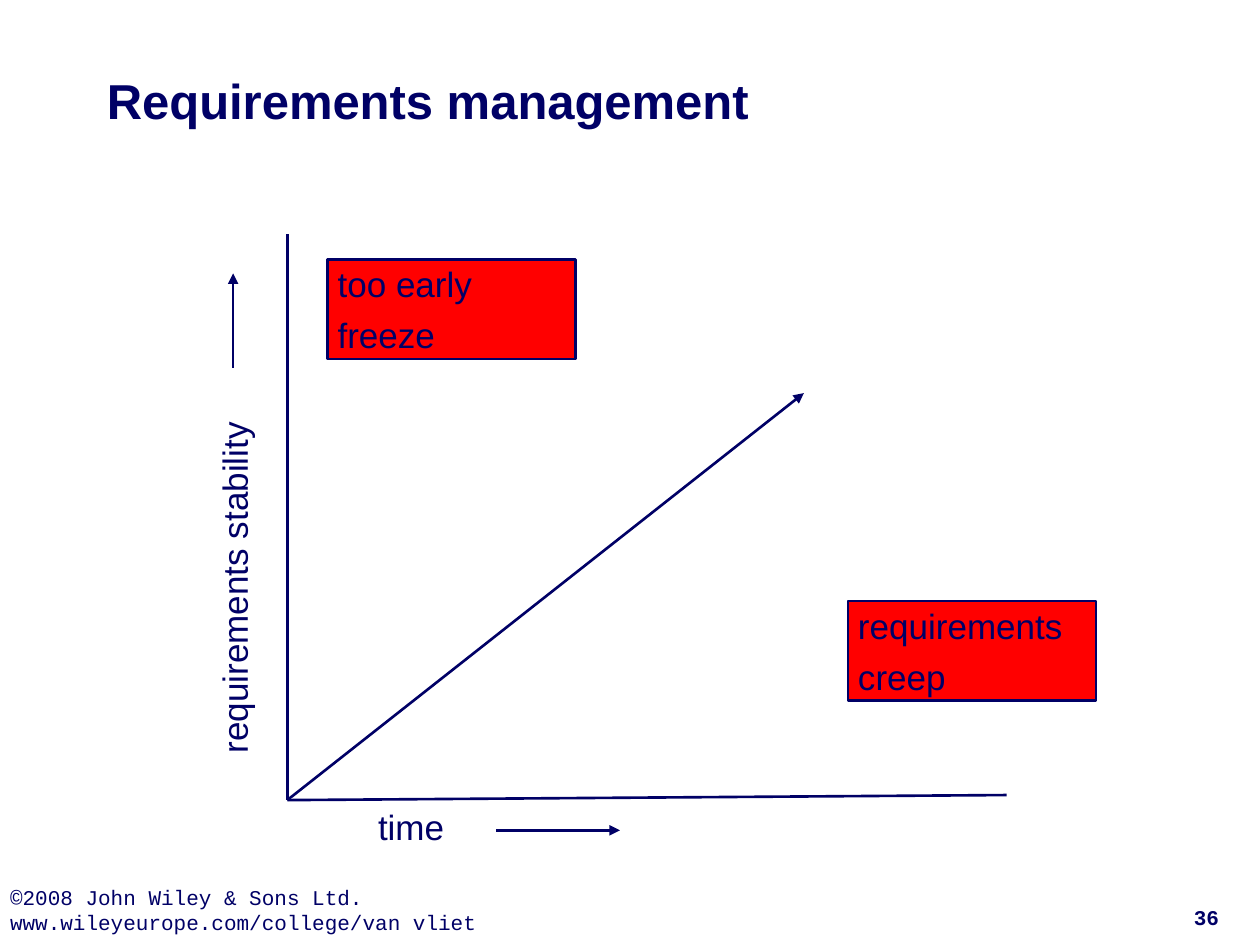
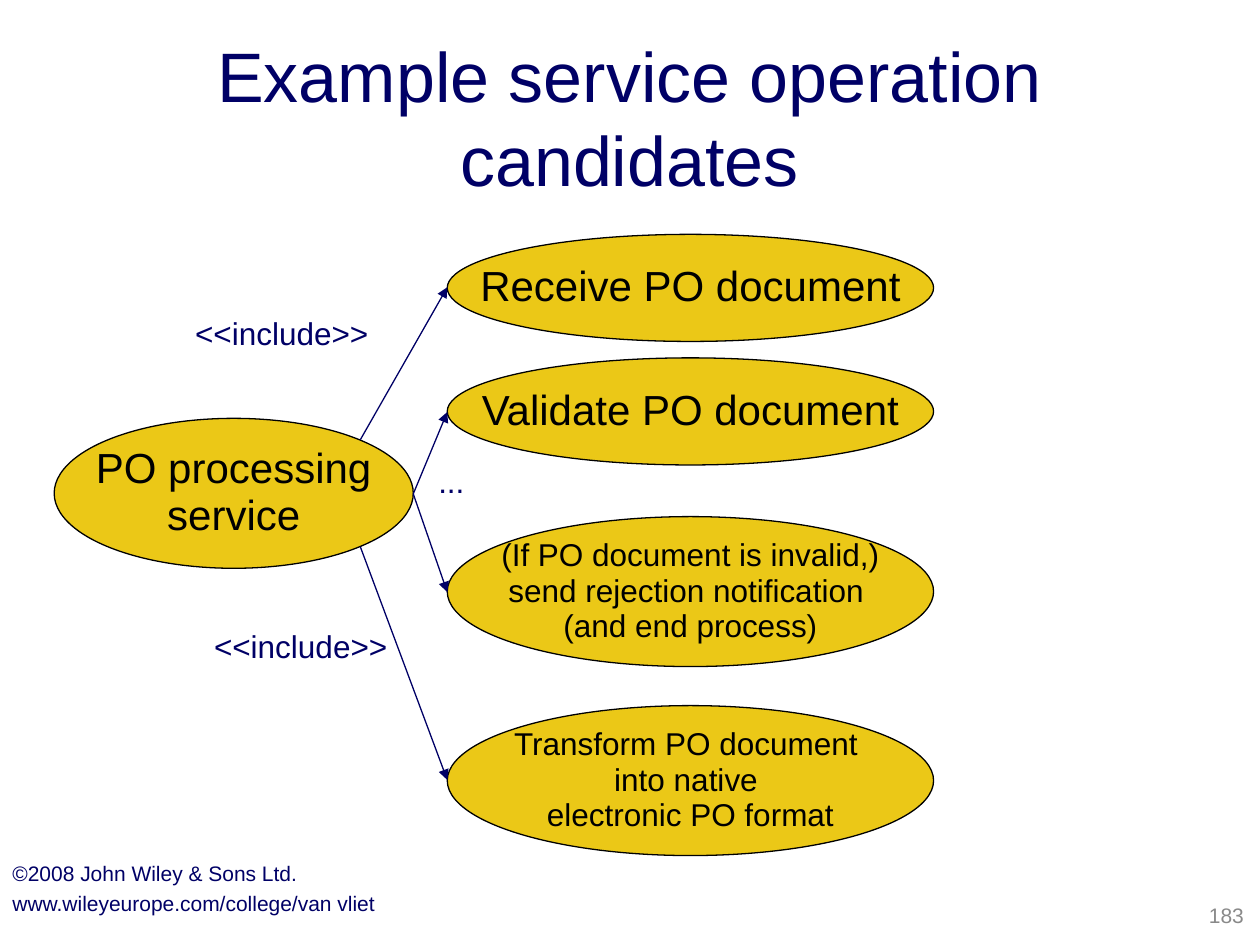
import pptx
import pptx.util
import pptx.dml.color
import pptx.enum.shapes
import pptx.enum.text
from lxml import etree

Inches = pptx.util.Inches
Pt = pptx.util.Pt
ANCHOR = pptx.enum.text.MSO_ANCHOR
ALIGN = pptx.enum.text.PP_ALIGN
SHAPE = pptx.enum.shapes.MSO_SHAPE
NAMESPACE = "{http://schemas.openxmlformats.org/drawingml/2006/main}"

NAVY = "000066"
BLACK = "000000"
RED = "FF0000"
GOLD = "EBC817"
GREY = "898989"
FOOTER = ["©2008 John Wiley & Sons Ltd.", "www.wileyeurope.com/college/van vliet"]
NUMBER_BOX = (9.18, 7.14, 0.79, 0.24)


def color(value):
    return pptx.dml.color.RGBColor.from_string(value)


def add_text(slide, box, lines, size, ink=NAVY, font="Arial", bold=False, align=ALIGN.LEFT,
             anchor=ANCHOR.TOP, insets=(0.1, 0.05), wrap=True, before=0, spacing=None,
             geometry=None, fill=None, outline=None, weight=1):
    bounds = [Inches(length) for length in box]
    if geometry is None:
        shape = slide.shapes.add_textbox(*bounds)
    else:
        shape = slide.shapes.add_shape(geometry, *bounds)
        shape.shadow.inherit = False
        shape.fill.solid()
        shape.fill.fore_color.rgb = color(fill)
        shape.line.color.rgb = color(outline)
        shape.line.width = Pt(weight)
    frame = shape.text_frame
    frame.word_wrap = wrap
    frame.vertical_anchor = anchor
    frame.margin_left = frame.margin_right = Inches(insets[0])
    frame.margin_top = frame.margin_bottom = Inches(insets[1])
    for index, line in enumerate(lines):
        paragraph = frame.add_paragraph() if index else frame.paragraphs[0]
        paragraph.alignment = align
        if index and before:
            paragraph.space_before = Pt(before)
        if spacing:
            paragraph.line_spacing = spacing
        run = paragraph.add_run()
        run.text = line
        run.font.name = font
        run.font.size = Pt(size)
        run.font.bold = bold
        run.font.color.rgb = color(ink)
    return shape


presentation = pptx.Presentation()
presentation.slide_width = Inches(10)
presentation.slide_height = Inches(7.5)
blank = presentation.slide_layouts[6]

management = presentation.slides.add_slide(blank)
add_text(management, (0, 6.94, 6.14, 0.56), FOOTER, 12, font="Courier New", insets=(0.08, 0.08))
add_text(management, NUMBER_BOX, ["36"], 12, font="Courier New", bold=True,
         align=ALIGN.CENTER, anchor=ANCHOR.BOTTOM, insets=(0, 0))
add_text(management, (0.75, 0.17, 8.5, 1.25), ["Requirements management"], 28,
         bold=True, anchor=ANCHOR.MIDDLE)
for left, top, lines in [
    (6.73, 4.77, ["requirements", "creep"]),
    (2.6, 2.06, ["too early", "freeze"]),
]:
    add_text(management, (left, top, 1.97, 0.79), lines, 20, anchor=ANCHOR.MIDDLE,
             insets=(0.08, 0.08), before=5, geometry=SHAPE.RECTANGLE,
             fill=RED, outline=NAVY, weight=1.5)
stability_label = add_text(management, (0.26, 4.22, 3.19, 0.49), ["requirements stability"], 20,
                           insets=(0.08, 0.08))
stability_label.rotation = 270
add_text(management, (2.92, 6.31, 1.09, 0.49), ["time"], 20, insets=(0.08, 0.08))

services = presentation.slides.add_slide(blank)
add_text(services, (0.5, 0.24, 8.99, 1.37), ["Example service operation candidates"], 40,
         align=ALIGN.CENTER, anchor=ANCHOR.MIDDLE, insets=(0, 0))
add_text(services, NUMBER_BOX, ["183"], 12, ink=GREY, align=ALIGN.RIGHT, anchor=ANCHOR.MIDDLE)
for box, size, lines in [
    ((3.55, 1.86, 3.86, 0.85), 24, ["Receive PO document"]),
    ((0.43, 3.32, 2.85, 1.19), 24, ["PO processing", "service"]),
    ((3.55, 2.84, 3.86, 0.85), 24, ["Validate PO document"]),
    ((3.55, 4.1, 3.86, 1.19), 18,
     ["(If PO document is invalid,)", "send rejection notification ", "(and end process)"]),
    ((3.55, 5.6, 3.86, 1.19), 18,
     ["Transform PO document ", "into native ", "electronic PO format"]),
]:
    add_text(services, box, lines, size, ink=BLACK, align=ALIGN.CENTER, anchor=ANCHOR.MIDDLE,
             wrap=False, spacing=0.93, geometry=SHAPE.OVAL, fill=GOLD, outline=BLACK, weight=0.75)
for left, top, width, label in [
    (1.45, 2.56, 1.65, "<<include>>"),
    (1.6, 5.05, 1.65, "<<include>>"),
    (3.38, 3.74, 0.45, "..."),
]:
    add_text(services, (left, top, width, 0.38), [label], 18, spacing=0.54)
add_text(services, (0, 6.78, 6.58, 0.72), FOOTER, 12, before=3)

origin = (2.28, 6.35)
service_side = (3.28, 3.92)
for slide, weight, begin, end, has_arrow in [
    (management, 1.5, (2.28, 1.86), origin, False),
    (management, 1.5, origin, (7.99, 6.31), False),
    (management, 1.5, origin, (6.38, 3.12), True),
    (management, 1.5, (1.85, 2.92), (1.85, 2.17), True),
    (management, 1.5, (3.94, 6.59), (4.92, 6.59), True),
    (services, 0.75, (2.86, 3.49), (3.55, 2.28), True),
    (services, 0.75, service_side, (3.55, 3.27), True),
    (services, 0.75, (2.86, 4.34), (3.55, 6.19), True),
    (services, 0.75, service_side, (3.55, 4.7), True),
]:
    connector = slide.shapes.add_connector(
        pptx.enum.shapes.MSO_CONNECTOR.STRAIGHT,
        *[Inches(length) for length in begin + end])
    connector.line.color.rgb = color(NAVY)
    connector.line.width = Pt(weight)
    if has_arrow:
        etree.SubElement(connector.get_or_add_ln(), NAMESPACE + "tailEnd", type="triangle")
    etree.SubElement(connector.element.spPr, NAMESPACE + "effectLst")

presentation.save("out.pptx")
